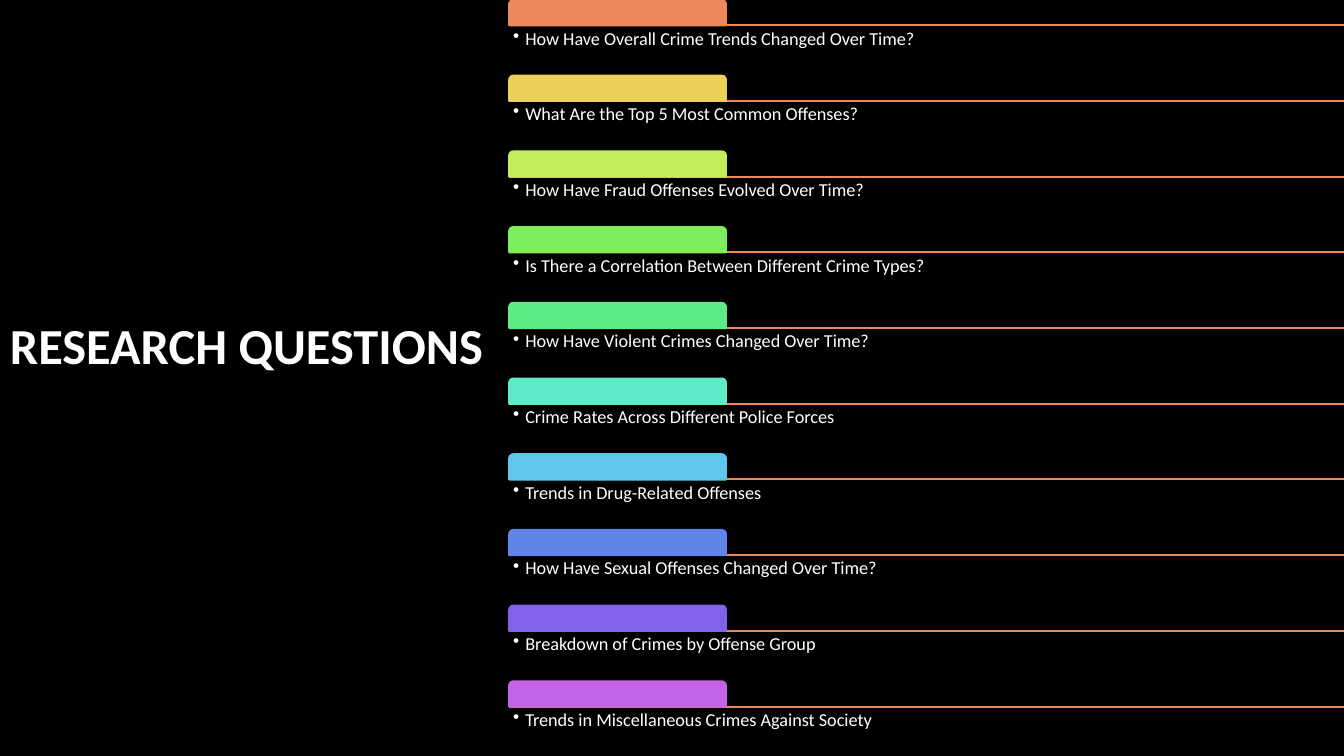
"""Build the research questions slide: a title beside ten colour-tabbed rows."""
import pptx
import pptx.dml.color
import pptx.enum.shapes
import pptx.enum.text
import pptx.oxml
import pptx.oxml.ns
import pptx.util
from pptx.util import Inches

TITLE = "RESEARCH QUESTIONS"
QUESTIONS = [
    ("How Have Overall Crime Trends Changed Over Time?", "EE875A"),
    ("What Are the Top 5 Most Common Offenses?", "EDCF5B"),
    ("How Have Fraud Offenses Evolved Over Time?", "C3ED5C"),
    ("Is There a Correlation Between Different Crime Types?", "7DEC5D"),
    ("How Have Violent Crimes Changed Over Time?", "5EEB84"),
    ("Crime Rates Across Different Police Forces", "5FEBC9"),
    ("Trends in Drug-Related Offenses", "60C8EA"),
    ("How Have Sexual Offenses Changed Over Time?", "6184E9"),
    ("Breakdown of Crimes by Offense Group", "8162E9"),
    ("Trends in Miscellaneous Crimes Against Society", "C363E8"),
]
THEME = {
    "background": "000000", "text": "FFFFFF", "rule": "EE875A",
    "font": "Calibri", "title_size": 36, "question_size": 13, "line_width": 1.5,
}
SLIDE_WIDTH, SLIDE_HEIGHT = 13.33, 7.5
LIST_LEFT = 5.05
TAB_WIDTH, TAB_HEIGHT = 2.15, 0.25
QUESTION_HEIGHT = 0.49
ROW_PITCH = (SLIDE_HEIGHT - TAB_HEIGHT - QUESTION_HEIGHT) / (len(QUESTIONS) - 1)
QUESTION_INSET = 0.04
BULLET_INDENT = 0.12


def rgb(code):
    """Turn a hex code into a colour."""
    return pptx.dml.color.RGBColor.from_string(code)


def add_words(slide, words, box, size, bold=False):
    """Add a wrapped one-paragraph text box and return its frame."""
    frame = slide.shapes.add_textbox(*map(Inches, box)).text_frame
    frame.word_wrap = True
    paragraph = frame.paragraphs[0]
    paragraph.text = words
    paragraph.line_spacing = 0.9
    font = paragraph.runs[0].font
    font.name = THEME["font"]
    font.size = pptx.util.Pt(size)
    font.bold = bold
    font.color.rgb = rgb(THEME["text"])
    return frame


def add_rule(slide, y):
    """Draw the horizontal rule under a tab."""
    rule = slide.shapes.add_connector(
        pptx.enum.shapes.MSO_CONNECTOR.STRAIGHT,
        Inches(LIST_LEFT), Inches(y), Inches(SLIDE_WIDTH), Inches(y))
    rule.line.color.rgb = rgb(THEME["rule"])
    rule.line.width = pptx.util.Pt(THEME["line_width"])
    properties = rule.element.find(pptx.oxml.ns.qn("p:spPr"))
    properties.append(pptx.oxml.parse_xml(
        f'<a:effectLst {pptx.oxml.ns.nsdecls("a")}/>'))


def add_tab(slide, y, colour):
    """Draw the coloured tab that sits on a rule."""
    tab = slide.shapes.add_shape(
        pptx.enum.shapes.MSO_SHAPE.ROUND_2_SAME_RECTANGLE,
        Inches(LIST_LEFT), Inches(y), Inches(TAB_WIDTH), Inches(TAB_HEIGHT))
    tab.shadow.inherit = False
    tab.fill.solid()
    tab.fill.fore_color.rgb = rgb(colour)
    tab.line.color.rgb = rgb(colour)
    tab.line.width = pptx.util.Pt(THEME["line_width"])


def add_question(slide, y, question):
    """Write a bulleted question below its rule."""
    box = (LIST_LEFT, y, SLIDE_WIDTH - LIST_LEFT, QUESTION_HEIGHT)
    frame = add_words(slide, question, box, THEME["question_size"])
    frame.margin_left = frame.margin_right = Inches(QUESTION_INSET)
    frame.margin_top = frame.margin_bottom = Inches(QUESTION_INSET)
    paragraph = frame.paragraphs[0]
    paragraph.level = 1
    properties = paragraph._p.get_or_add_pPr()
    properties.set("marL", str(Inches(BULLET_INDENT)))
    properties.set("indent", str(-Inches(BULLET_INDENT)))
    properties.append(pptx.oxml.parse_xml(
        f'<a:buChar {pptx.oxml.ns.nsdecls("a")} char="•"/>'))


def main():
    """Lay out the slide and save it."""
    presentation = pptx.Presentation()
    presentation.slide_width = Inches(SLIDE_WIDTH)
    presentation.slide_height = Inches(SLIDE_HEIGHT)
    slide = presentation.slides.add_slide(presentation.slide_layouts[6])
    slide.background.fill.solid()
    slide.background.fill.fore_color.rgb = rgb(THEME["background"])

    title = add_words(slide, TITLE, (0, 2.27, LIST_LEFT, 1.5),
                      THEME["title_size"], bold=True)
    title.vertical_anchor = pptx.enum.text.MSO_ANCHOR.BOTTOM

    for row, (question, colour) in enumerate(QUESTIONS):
        tab_top = row * ROW_PITCH
        rule_y = tab_top + TAB_HEIGHT
        add_rule(slide, rule_y)
        add_tab(slide, tab_top, colour)
        add_question(slide, rule_y, question)

    presentation.save("out.pptx")


if __name__ == "__main__":
    main()
